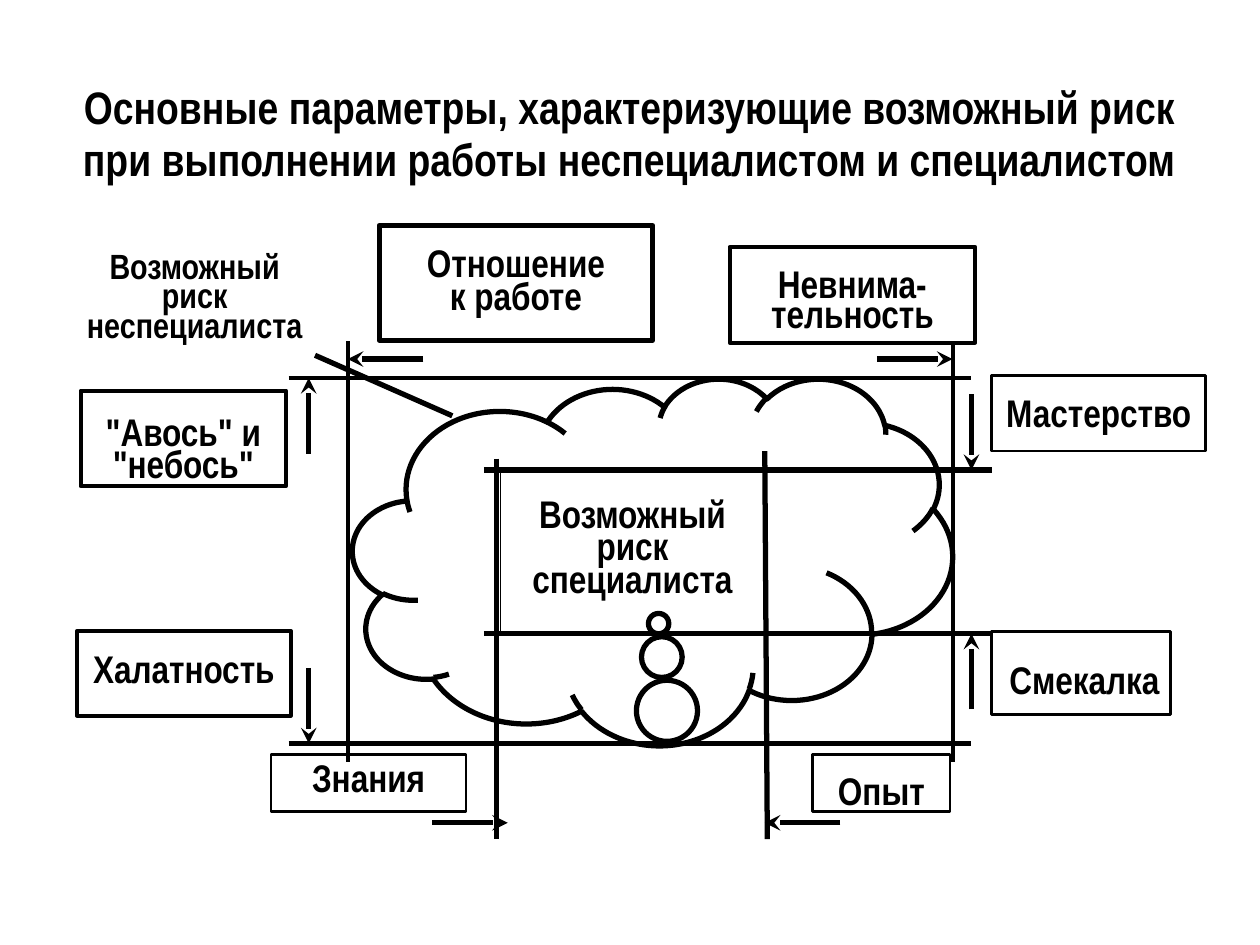
from pptx import Presentation
from pptx.dml.color import RGBColor
from pptx.enum.shapes import MSO_CONNECTOR, MSO_SHAPE
from pptx.enum.text import MSO_ANCHOR, MSO_AUTO_SIZE, PP_ALIGN
from pptx.oxml.ns import qn
from pptx.util import Inches, Pt
from lxml.etree import SubElement

BLACK = RGBColor(0, 0, 0)
FONT = "Arial Narrow"
TITLE = ("Основные параметры, характеризующие возможный риск "
         "при выполнении работы неспециалистом и специалистом")

# Edges of the outer (non-specialist) and inner (specialist) risk areas
LEFT, RIGHT, TOP, BOTTOM = 2.76, 7.56, 3.0, 5.9
IN_LEFT, IN_RIGHT, IN_TOP, IN_BOTTOM = 3.94, 6.09, 3.73, 5.03
ARROW_LEFT, ARROW_RIGHT, ARROW_TOP, ARROW_BOTTOM = 2.45, 7.71, 2.85, 6.53
ARROW = 0.6

# x1, y1, x2, y2, width in points
EDGES = [
    (LEFT, 2.71, LEFT, 6.05, 2.25),
    (RIGHT, 2.71, RIGHT, 6.05, 2.25),
    (2.29, TOP, ARROW_RIGHT, TOP, 2.25),
    (2.29, BOTTOM, ARROW_RIGHT, BOTTOM, 3),
    (IN_LEFT, 3.64, IN_LEFT, 6.66, 3),
    (6.07, 3.58, IN_RIGHT, 6.66, 3),
    (3.84, IN_TOP, 7.87, IN_TOP, 3),
    (3.84, IN_BOTTOM, 7.87, IN_BOTTOM, 3),
    (3.59, 3.3, 2.5, 2.82, 3),
]

# tip x, tip y, direction x, direction y
ARROWS = [
    (ARROW_LEFT, TOP, 0, -1),
    (ARROW_LEFT, BOTTOM, 0, 1),
    (ARROW_RIGHT, IN_TOP, 0, 1),
    (ARROW_RIGHT, IN_BOTTOM, 0, -1),
    (LEFT, ARROW_TOP, -1, 0),
    (RIGHT, ARROW_TOP, 1, 0),
    (4.03, ARROW_BOTTOM, 1, 0),
    (6.07, ARROW_BOTTOM, -1, 0),
]

# paragraphs, (left, top, width, height), line width, top inset (None: centred),
# line spacing
BOXES = [
    (["Мастерство"], (7.87, 2.98, 1.7, 0.6), 1.5, 0.21, 0.7),
    (["Смекалка"], (7.87, 5.01, 1.42, 0.66), 1.5, 0.3, 0.7),
    (['"Авось" и', '"небось"'], (0.64, 3.1, 1.63, 0.76), 2.25, 0.24, 0.7),
    (["Халатность"], (0.61, 5.01, 1.7, 0.67), 2.25, None, 0.7),
    (["Отношение", "к работе"], (3.01, 1.79, 2.17, 0.91), 3, 0.21, 0.7),
    (["Невнима-", "тельность"], (5.79, 1.96, 1.95, 0.76), 2.25, 0.22, 0.65),
    (["Опыт"], (6.45, 5.99, 1.09, 0.45), 1.5, 0.2, 0.7),
    (["Знания"], (2.15, 5.99, 1.55, 0.45), 1.5, None, 0.7),
    (["Возможный риск специалиста"], (3.97, 3.74, 2.1, 1.27), 0.75, None, 0.7),
]


def set_font(p, size):
    p.font.name = FONT
    p.font.size = Pt(size)
    p.font.bold = True
    p.font.color.rgb = BLACK


def write(sp, paragraphs, size, inset, spacing):
    tf = sp.text_frame
    tf.word_wrap = True
    tf.margin_left = tf.margin_right = tf.margin_top = tf.margin_bottom = 0
    tf.vertical_anchor = MSO_ANCHOR.MIDDLE
    if inset is not None:
        tf.vertical_anchor = MSO_ANCHOR.TOP
        tf.margin_top = Inches(inset)
    for i, text in enumerate(paragraphs):
        p = tf.paragraphs[0] if i == 0 else tf.add_paragraph()
        p.text = text
        p.alignment = PP_ALIGN.CENTER
        p.line_spacing = spacing
        set_font(p, size)
    return tf


def add_outline(s, shape, box, width):
    sp = s.shapes.add_shape(shape, *map(Inches, box))
    sp.shadow.inherit = False
    sp.fill.background()
    sp.line.color.rgb = BLACK
    sp.line.width = Pt(width)
    return sp


def add_line(s, x1, y1, x2, y2, width, arrow=False):
    line = s.shapes.add_connector(
        MSO_CONNECTOR.STRAIGHT, *map(Inches, (x1, y1, x2, y2)))
    line.line.color.rgb = BLACK
    line.line.width = Pt(width)
    if arrow:
        SubElement(line.line._get_or_add_ln(), qn("a:tailEnd"), type="stealth")
    SubElement(line._element.spPr, qn("a:effectLst"))


def main():
    prs = Presentation()
    prs.slide_width, prs.slide_height = Inches(10), Inches(7.5)
    s = prs.slides.add_slide(prs.slide_layouts[5])

    title = s.shapes.title
    title.left, title.top = Inches(0.5), Inches(0.58)
    title.width, title.height = Inches(9), Inches(0.96)
    tf = title.text_frame
    tf.text = TITLE
    tf.auto_size = MSO_AUTO_SIZE.NONE
    tf.vertical_anchor = MSO_ANCHOR.MIDDLE
    p = tf.paragraphs[0]
    p.alignment = PP_ALIGN.CENTER
    p.line_spacing = Pt(30)
    set_font(p, 26)

    cloud = add_outline(s, MSO_SHAPE.CLOUD_CALLOUT, (2.8, 3, 4.76, 2.91), 3)
    cloud.adjustments[0] = 0.01
    cloud.adjustments[1] = 0.17

    for edge in EDGES:
        add_line(s, *edge)
    for x, y, dx, dy in ARROWS:
        add_line(s, x - dx * ARROW, y - dy * ARROW, x, y, 3, arrow=True)

    for paragraphs, box, width, inset, spacing in BOXES:
        sp = add_outline(s, MSO_SHAPE.RECTANGLE, box, width)
        tf = write(sp, paragraphs, 22, inset, spacing)
        if paragraphs == ["Смекалка"]:
            tf.paragraphs[0].alignment = PP_ALIGN.LEFT
            tf.margin_left = Inches(0.14)

    label = s.shapes.add_textbox(*map(Inches, (0.59, 1.62, 1.91, 1.19)))
    write(label, ["Возможный риск", "неспециалиста"], 20, 0.41, 0.7)

    prs.save("out.pptx")


if __name__ == "__main__":
    main()
